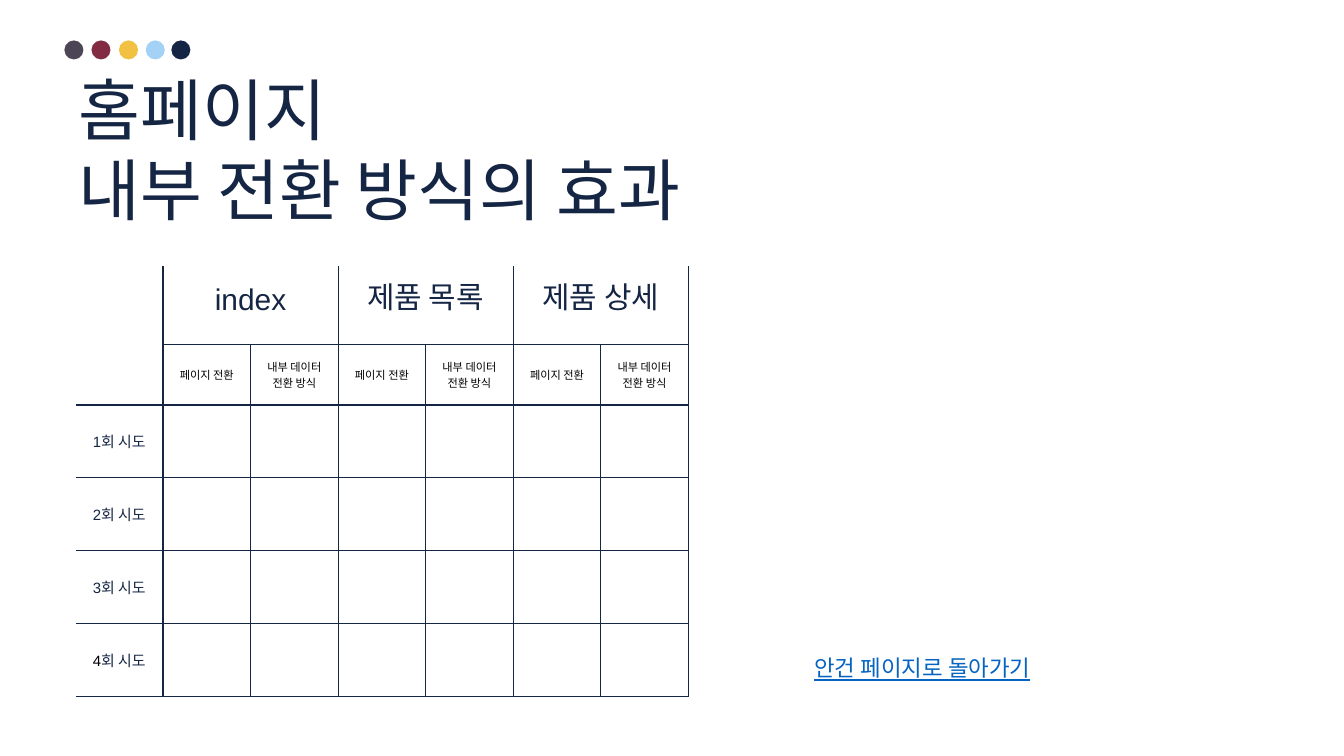
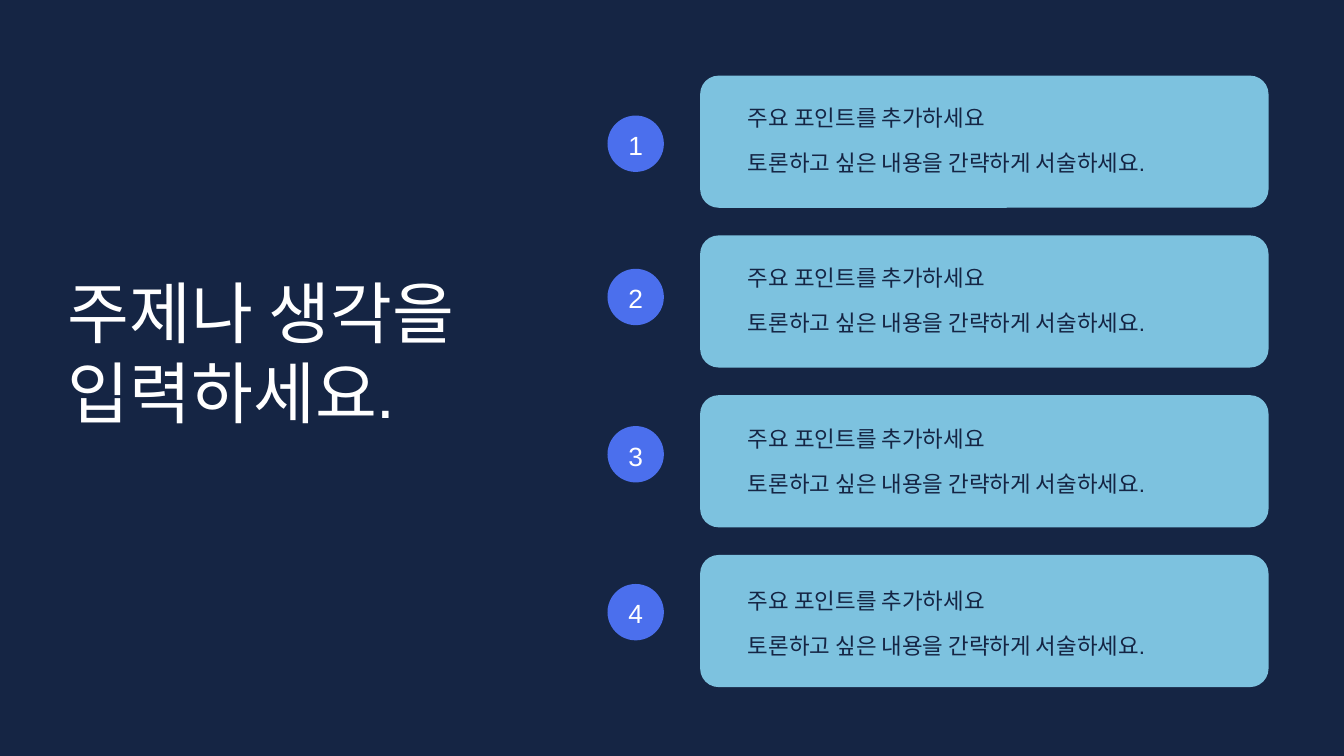
from dataclasses import dataclass

from lxml import etree
from pptx import Presentation
from pptx.dml.color import RGBColor
from pptx.enum import shapes, text
from pptx.oxml import ns
from pptx.util import Pt

OVAL = shapes.MSO_SHAPE.OVAL
ROUND = shapes.MSO_SHAPE.ROUNDED_RECTANGLE
LEFT, CENTER = text.PP_ALIGN.LEFT, text.PP_ALIGN.CENTER
TOP, MIDDLE = text.MSO_ANCHOR.TOP, text.MSO_ANCHOR.MIDDLE


@dataclass(frozen=True)
class Theme:
    font: str = "Arial"
    navy: str = "152544"
    white: str = "FFFFFF"
    black: str = "000000"
    link: str = "0563C1"
    card: str = "7DC2DF"
    badge: str = "4B6FED"
    dots: tuple = ("4B4555", "832B42", "F3C141", "A4D2F7", "152544")
    title: float = 72
    head: float = 32
    count: float = 28.2
    body: float = 24
    label: float = 16
    small: float = 12


class Deck:
    def __init__(self, theme):
        self.theme = theme
        self.show = Presentation()
        self.show.slide_width, self.show.slide_height = Pt(1440), Pt(810)
        self.slide = None

    def page(self, back):
        self.slide = self.show.slides.add_slide(self.show.slide_layouts[5])
        fill = self.slide.background.fill
        fill.solid()
        fill.fore_color.rgb = RGBColor.from_string(back)

    def ink(self, run, size, color):
        font = run.font
        font.name, font.size = self.theme.font, Pt(size)
        font.color.rgb = RGBColor.from_string(color)

    def put(self, frame, words, size, color, lead=None, align=LEFT):
        """Set the words; lead is the fixed line height in points."""
        frame.text = words
        for para in frame.paragraphs:
            para.alignment = align
            if lead:
                para.line_spacing = Pt(lead)
            for run in para.runs:
                self.ink(run, size, color)

    def frame(self, shape, anchor=TOP):
        """Strip the margins of a shape's text frame and return it."""
        frame = shape.text_frame
        frame.margin_left = frame.margin_top = 0
        frame.margin_right = frame.margin_bottom = 0
        frame.word_wrap = True
        frame.auto_size = text.MSO_AUTO_SIZE.NONE
        frame.vertical_anchor = anchor
        return frame

    def title(self, words, box, color):
        shape = self.slide.shapes.title
        shape.left, shape.top, shape.width, shape.height = map(Pt, box)
        self.put(self.frame(shape), words, self.theme.title, color, 86.4)

    def label(self, words, box, color, lead):
        shape = self.slide.shapes.add_textbox(*map(Pt, box))
        frame = self.frame(shape)
        self.put(frame, words, self.theme.body, color, lead)
        return frame

    def shape(self, kind, box, color):
        shape = self.slide.shapes.add_shape(kind, *map(Pt, box))
        shape.shadow.inherit = False
        shape.fill.solid()
        shape.fill.fore_color.rgb = RGBColor.from_string(color)
        shape.line.fill.background()
        return shape

    def badge(self, words, box):
        shape = self.shape(OVAL, box, self.theme.badge)
        self.put(self.frame(shape, MIDDLE), words, self.theme.count,
                 self.theme.white, 36.6, CENTER)

    def edge(self, cell, bare):
        """Rule all four sides of a cell, except those in bare."""
        props = cell._tc.get_or_add_tcPr()
        for side in "LRTB":
            line = etree.SubElement(props, ns.qn(f"a:ln{side}"))
            if side in bare:
                line.set("w", "0")
                etree.SubElement(line, ns.qn("a:noFill"))
                continue
            line.set("w", str(Pt(1.5)))
            fill = etree.SubElement(line, ns.qn("a:solidFill"))
            etree.SubElement(fill, ns.qn("a:srgbClr"), val=self.theme.navy)

    def table(self, box, rows, cols):
        """Add a ruled table that is open at its top and left."""
        shape = self.slide.shapes.add_table(len(rows), len(cols), *map(Pt, box))
        table = shape.table
        table.first_row = table.horz_banding = False
        for col, width in zip(table.columns, cols):
            col.width = Pt(width)
        for row, height in zip(table.rows, rows):
            row.height = Pt(height)
        for r in range(len(rows)):
            for c in range(len(cols)):
                cell = table.cell(r, c)
                cell.margin_left = cell.margin_right = Pt(15)
                cell.margin_top = cell.margin_bottom = Pt(15)
                cell.vertical_anchor = MIDDLE
                self.edge(cell, ("T" if r == 0 else "") + ("L" if c == 0 else ""))
                cell.fill.background()
        return table


def effect(deck):
    look = deck.theme
    deck.page(look.white)
    deck.title("홈페이지\n내부 전환 방식의 효과", (84.2, 72.7, 687, 260.6), look.navy)
    back = deck.label("안건 페이지로 돌아가기", (872.6, 696.2, 377.3, 32.4),
                      look.link, 33.6)
    back.paragraphs[0].runs[0].font.underline = True
    for left, color in zip((69, 98, 127.5, 156.2, 183.6), look.dots):
        deck.shape(OVAL, (left, 43.3, 20.4, 20.4), color)

    grid = deck.table((80.9, 285, 657, 455), (84.2, 59, 78, 78, 78, 78),
                      [93.8] * 7)
    grid.cell(0, 0).merge(grid.cell(1, 0))
    for col, name in zip((1, 3, 5), ("index", "제품 목록", "제품 상세")):
        grid.cell(0, col).merge(grid.cell(0, col + 1))
        deck.put(grid.cell(0, col).text_frame, name, look.head, look.navy,
                 25.2, CENTER)
        for step, mode in enumerate(("페이지 전환", "내부 데이터 전환 방식")):
            deck.put(grid.cell(1, col + step).text_frame, mode, look.small,
                     look.black, align=CENTER)
    for turn in range(1, 5):
        frame = grid.cell(turn + 1, 0).text_frame
        deck.put(frame, str(turn), look.label,
                 look.black if turn == 4 else look.navy, 22.4, CENTER)
        tail = frame.paragraphs[0].add_run()
        tail.text = "회 시도"
        deck.ink(tail, look.label, look.navy)


def points(deck):
    look = deck.theme
    deck.page(look.navy)
    deck.title("주제나 생각을\n입력하세요.", (72.7, 290.2, 449.3, 173.5), look.white)
    heads = (108.7, 280.1, 452.9, 626.4)
    badges = (123.8, 288, 456.5, 625.7)
    for i, (head, spot) in enumerate(zip(heads, badges)):
        card = deck.shape(ROUND, (750.2, 81 + 171.2 * i, 609, 141.6), look.card)
        card.adjustments[0] = 0.14
        deck.label("주요 포인트를 추가하세요", (801.4, head, 532.8, 31),
                   look.navy, 31.2)
        deck.label("토론하고 싶은 내용을 간략하게 서술하세요.",
                   (801.4, head + 43.6, 532.8, 34.6), look.navy, 36)
        deck.badge(str(i + 1), (650.9, spot, 60.4, 60.4))


def main():
    deck = Deck(Theme())
    effect(deck)
    points(deck)
    deck.show.save("out.pptx")


if __name__ == "__main__":
    main()
